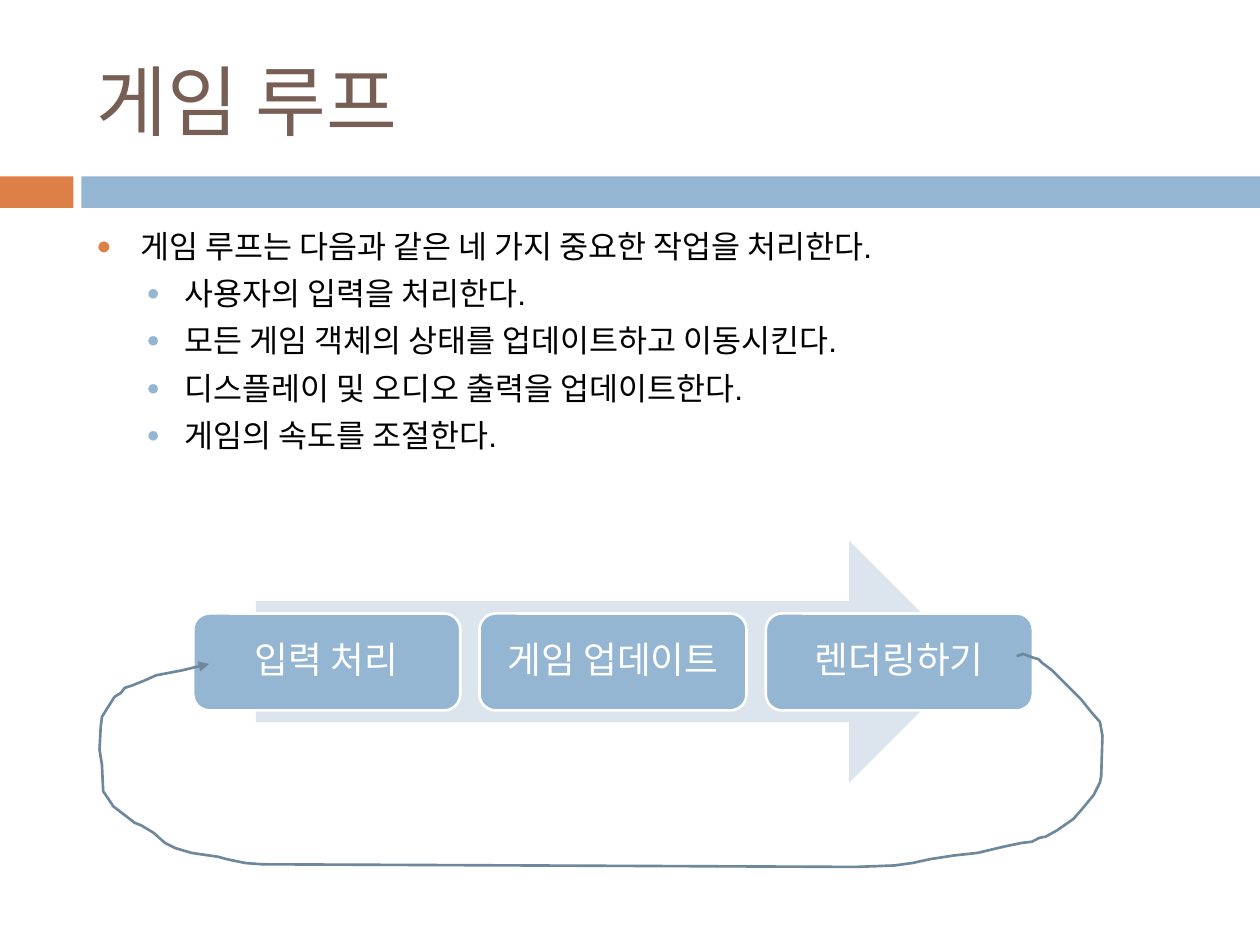
from lxml.etree import SubElement
from pptx import Presentation
from pptx.dml.color import RGBColor
from pptx.enum.shapes import MSO_SHAPE
from pptx.enum.text import MSO_ANCHOR, PP_ALIGN
from pptx.oxml.ns import qn
from pptx.util import Pt

COLORS = {
    "title": "775F55", "text": "000000", "white": "FFFFFF",
    "orange": "DD8047", "blue": "94B6D2", "pale": "DCE5EE", "loop": "6D879B",
}

BODY = [
    (0, "게임 루프는 다음과 같은 네 가지 중요한 작업을 처리한다."),
    (1, "사용자의 입력을 처리한다."),
    (1, "모든 게임 객체의 상태를 업데이트하고 이동시킨다."),
    (1, "디스플레이 및 오디오 출력을 업데이트한다."),
    (1, "게임의 속도를 조절한다."),
]
# Per level: left margin, hanging indent, space before, bullet colour, bullet size in %
LEVELS = [(25.2, 25.2, 7, "orange", 80), (50.4, 21.6, 5.5, "blue", 70)]

STEPS = ["입력 처리", "게임 업데이트", "렌더링하기"]

# Hand-drawn way back from the last step to the first
LOOP = [
    (581, 375), (584.6, 373.7), (590.4, 375.8), (593.3, 376.6), (595.4, 378.7),
    (601.2, 383), (614.2, 396), (617.8, 399.6), (623.5, 406.8), (628.6, 412.6),
    (630, 420.5), (629.3, 443.5), (628.6, 447.1), (625, 454.3), (618.5, 462.2),
    (613.4, 468), (604.1, 474.5), (597.6, 478.1), (594, 478.8), (589.7, 481),
    (583.9, 481.7), (573.8, 483.8), (558.7, 487.4), (545, 488.9), (531.4, 491),
    (521.3, 493.2), (511, 494.6), (488.9, 495.4), (149.8, 493.9), (140.4, 493.2),
    (129.6, 491), (124.6, 489.6), (109.4, 487.4), (100.1, 484.6), (94.3, 481.7),
    (87.8, 475.9), (80.6, 471.6), (77, 470.2), (71.3, 465.8), (64.8, 460.8),
    (60.5, 454.3), (59, 452.2), (58.3, 437), (56.9, 428.4), (57.6, 415.4),
    (58.3, 409.7), (60.5, 406.1), (65.5, 398.2), (69.1, 396), (71.3, 393.1),
    (75.6, 391.7), (82.8, 388.8), (89.3, 385.9), (104.4, 383), (110.2, 381.6),
    (119.5, 379.4),
]


def color(name):
    return RGBColor.from_string(COLORS[name])


class SlideBuilder:
    def __init__(self, slide):
        self.slide = slide

    def format_runs(self, paragraph, size, font, color_name):
        for run in paragraph.runs:
            run.font.size = Pt(size)
            run.font.name = font
            run.font.color.rgb = color(color_name)

    def shape(self, kind, left, top, width, height, fill, line=None):
        shape = self.slide.shapes.add_shape(
            kind, Pt(left), Pt(top), Pt(width), Pt(height))
        shape.shadow.inherit = False
        shape.fill.solid()
        shape.fill.fore_color.rgb = color(fill)
        if line:
            shape.line.color.rgb = color(line)
            shape.line.width = Pt(1.5)
        else:
            shape.line.fill.background()
        return shape

    def step(self, text, left, top, width, height):
        shape = self.shape(MSO_SHAPE.ROUNDED_RECTANGLE, left, top, width, height,
                           "blue", "white")
        text_frame = shape.text_frame
        text_frame.text = text
        text_frame.word_wrap = True
        text_frame.vertical_anchor = MSO_ANCHOR.MIDDLE
        paragraph = text_frame.paragraphs[0]
        paragraph.alignment = PP_ALIGN.CENTER
        paragraph.line_spacing = 0.9
        self.format_runs(paragraph, 21, "Roboto", "white")

    def text_box(self, left, top, width, height, text, anchor=MSO_ANCHOR.TOP):
        box = self.slide.shapes.add_textbox(
            Pt(left), Pt(top), Pt(width), Pt(height))
        text_frame = box.text_frame
        text_frame.word_wrap = True
        text_frame.vertical_anchor = anchor
        text_frame.text = text
        return text_frame

    def title(self, text, *bounds):
        text_frame = self.text_box(*bounds, text, MSO_ANCHOR.MIDDLE)
        self.format_runs(text_frame.paragraphs[0], 44, "Noto Sans CJK KR", "title")

    def bullets(self, items, *bounds):
        text_frame = self.text_box(*bounds, "\n".join(text for _, text in items))
        for paragraph, (level, _) in zip(text_frame.paragraphs, items):
            margin, hanging, before, bullet_color, bullet_size = LEVELS[level]
            paragraph.level = level
            paragraph.space_before = Pt(before)
            self.format_runs(paragraph, 18, "Arial", "text")
            properties = paragraph._p.get_or_add_pPr()
            properties.set("marL", str(Pt(margin)))
            properties.set("indent", str(-Pt(hanging)))
            bullet_fill = SubElement(properties, qn("a:buClr"))
            SubElement(bullet_fill, qn("a:srgbClr"), val=COLORS[bullet_color])
            SubElement(properties, qn("a:buSzPct"), val=str(bullet_size * 1000))
            SubElement(properties, qn("a:buFont"), typeface="Arial")
            SubElement(properties, qn("a:buChar"), char="●")

    def arrow_path(self, points, line):
        start, *rest = [(Pt(x), Pt(y)) for x, y in points]
        builder = self.slide.shapes.build_freeform(*start)
        builder.add_line_segments(rest, close=False)
        shape = builder.convert_to_shape()
        shape.shadow.inherit = False
        shape.fill.background()
        shape.line.color.rgb = color(line)
        shape.line.width = Pt(1.5)
        SubElement(shape.line._get_or_add_ln(), qn("a:tailEnd"), type="triangle")


def main():
    presentation = Presentation()
    presentation.slide_width, presentation.slide_height = Pt(720), Pt(540)
    builder = SlideBuilder(
        presentation.slides.add_slide(presentation.slide_layouts[6]))

    # Header band
    builder.shape(MSO_SHAPE.RECTANGLE, 0, 100.8, 42, 18, "orange")
    builder.shape(MSO_SHAPE.RECTANGLE, 46.5, 100.8, 673.5, 18, "blue")

    # Title and bullet list
    builder.title("게임 루프", 48, 18, 642, 78)
    builder.bullets(BODY, 48, 126, 642, 354)

    # Process arrow with its steps
    builder.shape(MSO_SHAPE.RIGHT_ARROW, 146.2, 309, 408.2, 138.2, "pale")
    for index, text in enumerate(STEPS):
        builder.step(text, 110.4 + index * 163.6, 350.6, 152.6, 55.4)

    # Loop back to the first step
    builder.arrow_path(LOOP, "loop")

    presentation.save("out.pptx")


if __name__ == "__main__":
    main()
